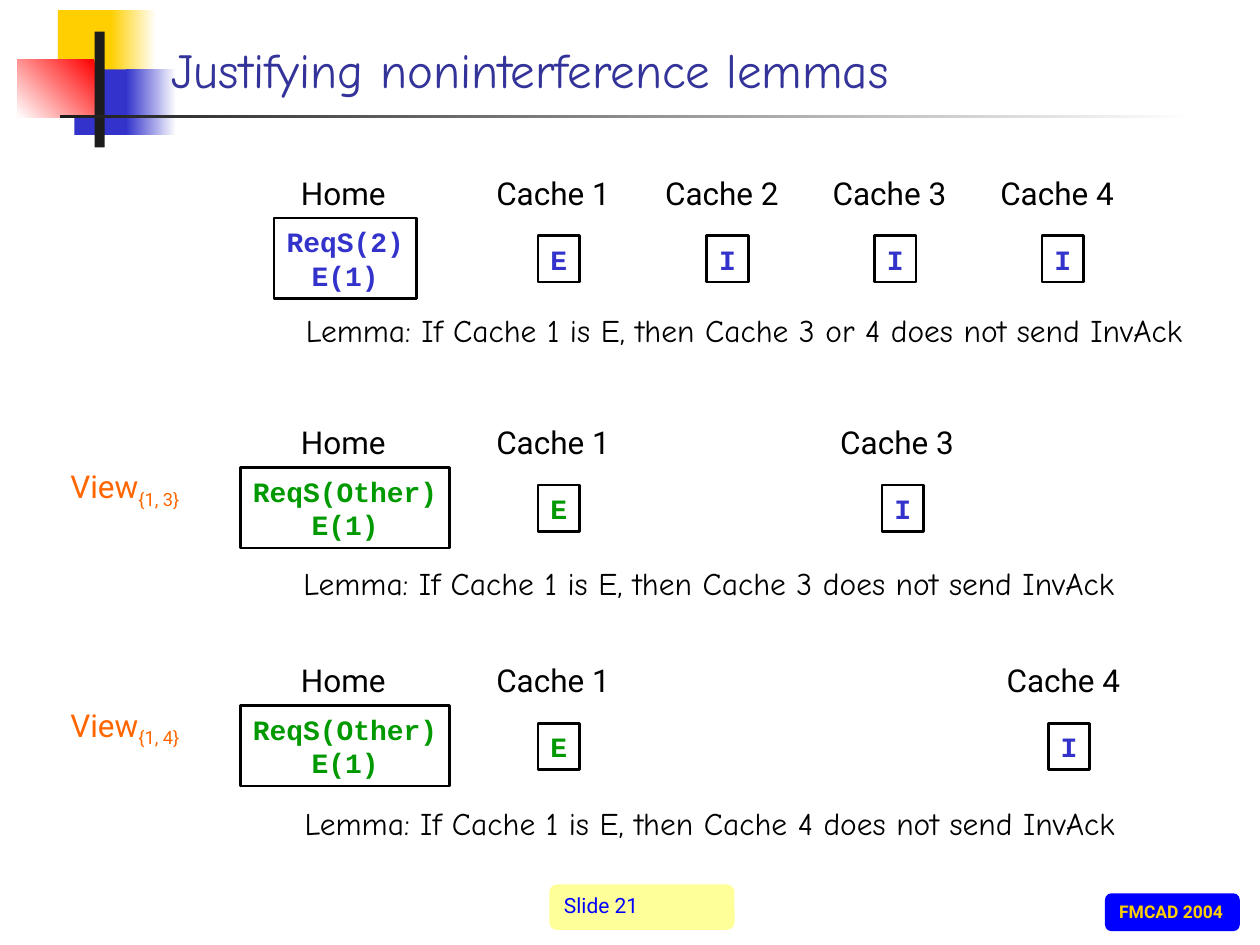
import pptx
import pptx.util
import pptx.dml.color
import pptx.enum.shapes
import pptx.enum.text

Inches = pptx.util.Inches
SHAPES = pptx.enum.shapes.MSO_SHAPE
ANCHOR = pptx.enum.text.MSO_ANCHOR
ALIGN = pptx.enum.text.PP_ALIGN

COLOURS = {
    "white": "FFFFFF", "black": "000000", "ink": "1C1C1C", "gold": "FFCF01",
    "blue": "3333CC", "red": "FF0000", "pale": "FFFF99", "pure blue": "0000FF",
    "title": "333399", "green": "009900", "orange": "FF6600"}
RGB = {name: pptx.dml.color.RGBColor.from_string(value) for name, value in COLOURS.items()}
FORMATS = {
    "label": {"size": pptx.util.Pt(18), "name": "Roboto"},
    "lemma": {"size": pptx.util.Pt(18), "name": "Comic Neue"},
    "state": {"size": pptx.util.Pt(16), "name": "Courier New", "bold": True},
    "number": {"size": pptx.util.Pt(12), "name": "Roboto"},
    "venue": {"size": pptx.util.Pt(10), "name": "Roboto", "bold": True},
    "title": {"size": pptx.util.Pt(28), "name": "Comic Neue"},
}


def write(box, lines, style, colour, align=ALIGN.LEFT, anchor=ANCHOR.MIDDLE, wrap=False):
    """Fill a box with one paragraph per line; a line is a list of runs."""
    frame = box.text_frame
    frame.word_wrap = wrap
    frame.vertical_anchor = anchor
    for index, line in enumerate(lines):
        para = frame.add_paragraph() if index else frame.paragraphs[0]
        para.alignment = align
        for text in line:
            span = para.add_run()
            span.text = text
            for key, value in FORMATS[style].items():
                setattr(span.font, key, value)
            span.font.color.rgb = RGB[colour]


def add_box(place, fill=None, outline=None, kind=SHAPES.RECTANGLE):
    """Add a shape; fill is a colour name or (start, end, clockwise angle)."""
    box = page.shapes.add_shape(kind, *map(Inches, place))
    box.shadow.inherit = False
    if fill is None:
        box.fill.background()
    elif isinstance(fill, str):
        box.fill.solid()
        box.fill.fore_color.rgb = RGB[fill]
    else:
        start, end, angle = fill
        box.fill.gradient()
        box.fill.gradient_angle = 360 - angle
        for stop, name, position in zip(box.fill.gradient_stops, (start, end), (0, 1)):
            stop.color.rgb = RGB[name]
            stop.position = position
    if outline:
        box.line.color.rgb = RGB[outline]
        box.line.width = pptx.util.Pt(1.5)
    else:
        box.line.fill.background()
    return box


deck = pptx.Presentation()
deck.slide_width, deck.slide_height = Inches(10), Inches(7.5)
page = deck.slides.add_slide(deck.slide_layouts[5])

# Corner decoration and rule under the title
for place, fill in [
    ((0.46, 0.08, 0.48, 0.52), "gold"),
    ((0.88, 0.08, 0.36, 0.52), ("white", "gold", 180)),
    ((0.59, 0.55, 0.46, 0.52), "blue"),
    ((1, 0.55, 0.4, 0.52), ("white", "blue", 180)),
    ((0.14, 0.47, 0.61, 0.46), ("red", "white", 135)),
    ((0.75, 0.25, 0.08, 0.92), "ink"),
    ((0.48, 0.91, 9, 0.03), ("white", "ink", 180)),
]:
    add_box(place, fill)

# Footer badges
for place, fill, text, style, colour in [
    ((4.36, 7.02, 1.47, 0.36), "pale", "Slide 21", "number", "pure blue"),
    ((8.77, 7.09, 1.07, 0.3), "pure blue", "FMCAD 2004", "venue", "gold"),
]:
    badge = add_box(place, fill, kind=SHAPES.ROUNDED_RECTANGLE)
    write(badge, [[text]], style, colour, anchor=ANCHOR.TOP)

title = page.shapes.title
title.left, title.top, title.width, title.height = map(Inches, (1.26, 0.23, 8.52, 0.6))
write(title, [["Justifying noninterference lemmas"]], "title", "title",
      anchor=ANCHOR.BOTTOM, wrap=True)
# The title is drawn above the decoration
page.shapes._spTree.append(title._element)

# Each system: top, view, request, request width, colour, caches, shift of
# the caches after the first, lemma text and its place
CACHE_LEFT, CACHE_STEP = 3.84, 1.33
HOME_CENTRE = 2.74
systems = [
    (1.33, None, "ReqS(2)", 1.13, "blue", (1, 2, 3, 4), 0.01,
     "Cache 3 or 4 does", (2.33, 2.42, 7.24, 0.4)),
    (3.31, "{1, 3}", "ReqS(Other)", 1.66, "green", (1, 3), 0.07,
     "Cache 3 does", (2.31, 4.43, 6.72, 0.4)),
    (5.2, "{1, 4}", "ReqS(Other)", 1.66, "green", (1, 4), 0.06,
     "Cache 4 does", (2.32, 6.33, 6.72, 0.4)),
]
for top, view, request, width, colour, caches, shift, claim, lemma_place in systems:
    home = add_box((HOME_CENTRE - width / 2, top + 0.4, width, 0.64), outline="black")
    write(home, [[request], ["E(1)"]], "state", colour, ALIGN.CENTER)

    labels = [((2.29, top, 0.91, 0.4), "Home", "label"),
              (lemma_place, f"Lemma: If Cache 1 is E, then {claim} not send InvAck", "lemma")]
    for cache in caches:
        left = CACHE_LEFT + CACHE_STEP * (cache - 1) + (shift if cache > 1 else 0)
        labels.append(((left, top, 1.12, 0.4), f"Cache {cache}", "label"))
        state = add_box((left + 0.43, top + 0.54, 0.33, 0.37), outline="black")
        write(state, [["E" if cache == 1 else "I"]], "state",
              colour if cache == 1 else "blue", ALIGN.CENTER)
    for place, text, style in labels:
        write(page.shapes.add_textbox(*map(Inches, place)), [[text]], style, "black")

    if view:
        box = page.shapes.add_textbox(*map(Inches, (0.46, top + 0.35, 1.1, 0.44)))
        write(box, [["View", view]], "label", "orange")
        subscript = box.text_frame.paragraphs[0].runs[1]
        subscript._r.get_or_add_rPr().set("baseline", "-25000")

deck.save("out.pptx")
